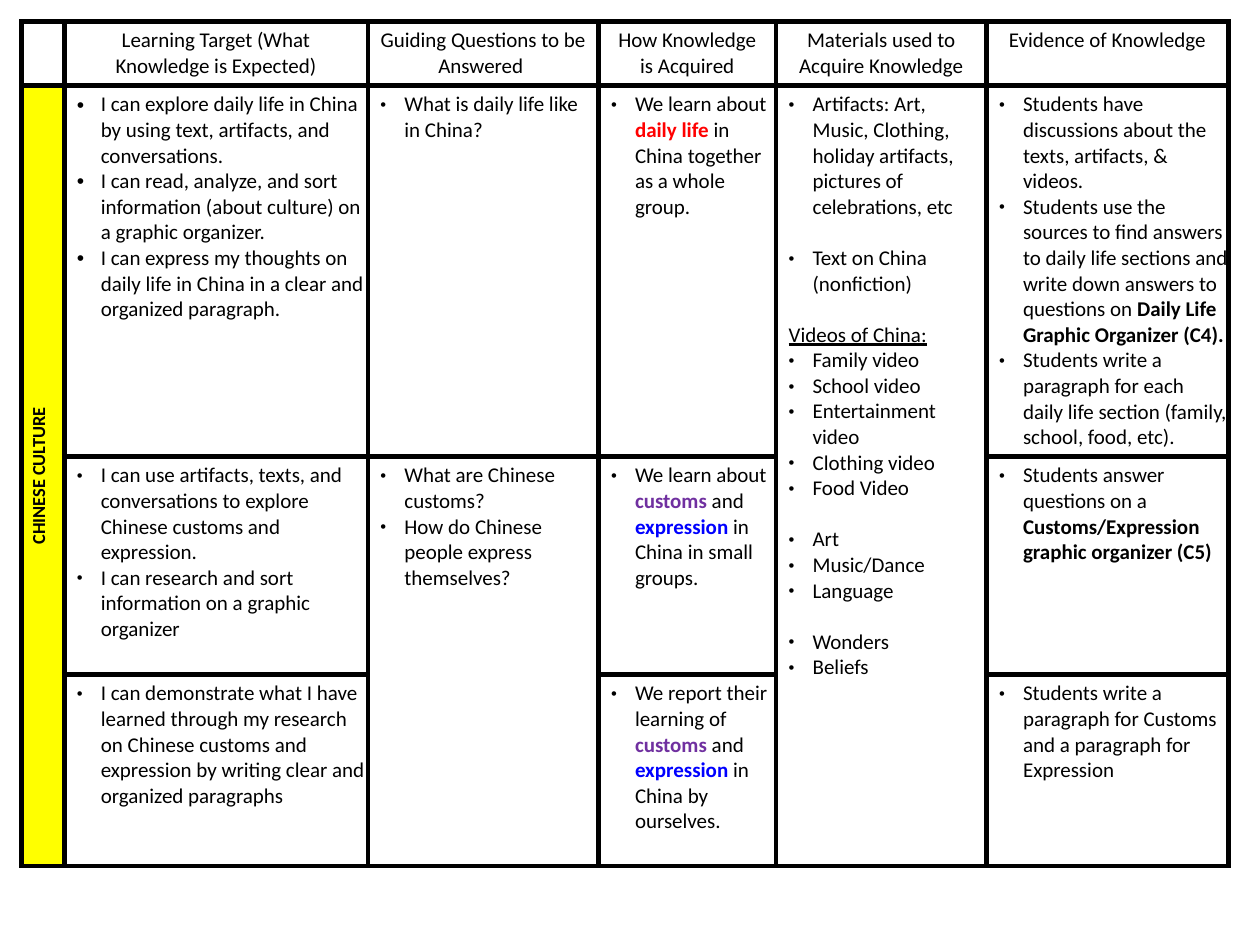
from dataclasses import dataclass
from lxml.etree import SubElement as Sub
from pptx import Presentation
from pptx.dml.color import RGBColor as Rgb
from pptx.enum.text import PP_ALIGN as Align
from pptx.oxml.ns import qn
from pptx.util import Inches, Pt


@dataclass(frozen=True)
class Theme:
    font: str = "Calibri"
    size: float = 12
    side: float = 10.5
    gap: float = 14.6
    rule: float = 3
    dot: int = 79
    ink: str = "000000"
    red: str = "FF0000"
    plum: str = "7030A0"
    blue: str = "0000FF"
    band: str = "FFFF00"


@dataclass(frozen=True)
class Run:
    text: str
    color: str = Theme.ink
    bold: bool = False
    line: bool = False


@dataclass(frozen=True)
class Para:
    runs: tuple[Run, ...]
    gap: bool = False
    dot: int | None = Theme.dot  # bullet size in percent, None for no bullet


@dataclass(frozen=True)
class Block:
    row: int
    col: int
    paras: tuple[Para, ...]
    span: int = 1


THEME = Theme()
COLS = (0.34, 2.41, 1.83, 1.41, 1.67, 1.92)
ROWS = (0.51, 2.94, 1.73, 1.52)
HEADS = (
    "Learning Target (What Knowledge is Expected)",
    "Guiding Questions to be Answered ",
    "How Knowledge is Acquired",
    "Materials used to Acquire Knowledge",
    "Evidence of Knowledge",
)


def item(*parts: str | Run, gap: bool = False, dot: int | None = THEME.dot) -> Para:
    runs = tuple(Run(part) if isinstance(part, str) else part for part in parts)
    return Para(runs, gap, dot)


def items(*texts: str, dot: int = THEME.dot) -> tuple[Para, ...]:
    return tuple(item(text, dot=dot) for text in texts)


def topics(start: str, end: str) -> tuple[Para, ...]:
    return (item(start, Run("customs", THEME.plum, True), " and ",
                 Run("expression ", THEME.blue, True), end),)


BLOCKS = (
    # Learning targets
    Block(1, 1, items(
        "I can explore daily life in China by using text, artifacts, and conversations.",
        "I can read, analyze, and sort information (about culture) on a graphic organizer.",
        "I can express my thoughts on daily life in China in a clear and organized paragraph.",
        dot=100)),
    Block(2, 1, items(
        "I can use artifacts, texts, and conversations to explore Chinese customs and expression.",
        "I can research and sort information on a graphic organizer")),
    Block(3, 1, items(
        "I can demonstrate what I have learned through my research on Chinese customs "
        "and expression by writing clear and organized paragraphs")),
    # Guiding questions
    Block(1, 2, items("What is daily life like in China?")),
    Block(2, 2, items("What are Chinese customs?",
                      "How do Chinese people express themselves?"), span=2),
    # How knowledge is acquired
    Block(1, 3, (item("We learn about ", Run("daily life ", THEME.red, True),
                      "in China together as a whole group."),)),
    Block(2, 3, topics("We learn about ", "in China in small groups.")),
    Block(3, 3, topics("We report their learning of ", "in China by ourselves.")),
    # Materials
    Block(1, 4, (
        item("Artifacts: Art, Music, Clothing, holiday artifacts, "
             "pictures of celebrations, etc"),
        item("Text on China (nonfiction)", gap=True),
        item(Run("Videos of China:", line=True), gap=True, dot=None),
        *items("Family video", "School video", "Entertainment video",
               "Clothing video", "Food Video"),
        item("Art", gap=True),
        *items("Music/Dance", "Language"),
        item("Wonders", gap=True),
        item("Beliefs"),
    ), span=3),
    # Evidence
    Block(1, 5, (
        item("Students have discussions about the texts, artifacts, & videos."),
        item("Students use the sources to find answers to daily life sections and "
             "write down answers to questions on ",
             Run("Daily Life Graphic Organizer (C4).", bold=True)),
        item("Students write a paragraph for each daily life section "
             "(family, school, food, etc)."),
    )),
    Block(2, 5, (item("Students answer questions on a ",
                      Run("Customs/Expression graphic organizer (C5)", bold=True)),)),
    Block(3, 5, items("Students write a paragraph for Customs and a paragraph for Expression")),
)


def add_run(para, run: Run, size: float = THEME.size) -> None:
    part = para.add_run()
    part.text = run.text
    font = part.font
    font.name, font.size = THEME.font, Pt(size)
    font.bold, font.underline = run.bold, run.line
    font.color.rgb = Rgb.from_string(run.color)


def add_dot(para, size: int) -> None:
    props = para._p.get_or_add_pPr()
    props.set("marL", str(Inches(0.19)))
    props.set("indent", str(-Inches(0.19)))
    Sub(props, qn("a:buSzPct"), val=str(size * 1000))
    Sub(props, qn("a:buFont"), typeface="Arial")
    Sub(props, qn("a:buChar"), char="•")


def frame(cell) -> None:
    props = cell._tc.get_or_add_tcPr()
    for side in ("lnL", "lnR", "lnT", "lnB"):
        edge = Sub(props, qn(f"a:{side}"), w=str(Pt(THEME.rule)))
        fill = Sub(edge, qn("a:solidFill"))
        Sub(fill, qn("a:srgbClr"), val=THEME.ink)
    cell.fill.background()


def add_head(cell, run: Run, size: float = THEME.size) -> None:
    para = cell.text_frame.paragraphs[0]
    para.alignment = Align.CENTER
    add_run(para, run, size)


def add_block(grid, block: Block) -> None:
    cell = grid.cell(block.row, block.col)
    if block.span > 1:
        cell.merge(grid.cell(block.row + block.span - 1, block.col))
    cell.margin_right = 0
    box = cell.text_frame
    for num, entry in enumerate(block.paras):
        para = box.add_paragraph() if num else box.paragraphs[0]
        if entry.dot:
            add_dot(para, entry.dot)
        if entry.gap:
            para.space_before = Pt(THEME.gap)
        for run in entry.runs:
            add_run(para, run)


def main() -> None:
    deck = Presentation()
    deck.slide_width, deck.slide_height = Inches(10), Inches(7.5)
    slide = deck.slides.add_slide(deck.slide_layouts[6])

    # Grid
    grid = slide.shapes.add_table(
        len(ROWS), len(COLS), Inches(0.17), Inches(0.17),
        Inches(sum(COLS)), Inches(sum(ROWS))).table
    grid.first_row = grid.horz_banding = False
    for col, width in zip(grid.columns, COLS):
        col.width = Inches(width)
    for row, height in zip(grid.rows, ROWS):
        row.height = Inches(height)
    for cell in grid.iter_cells():
        frame(cell)

    # Column heads
    for col, text in enumerate(HEADS, 1):
        add_head(grid.cell(0, col), Run(text))

    # Unit band
    unit = grid.cell(1, 0)
    unit.merge(grid.cell(3, 0))
    unit._tc.get_or_add_tcPr().set("vert", "vert270")
    unit.fill.solid()
    unit.fill.fore_color.rgb = Rgb.from_string(THEME.band)
    add_head(unit, Run("CHINESE CULTURE", bold=True), THEME.side)

    # Lesson cells
    for block in BLOCKS:
        add_block(grid, block)

    deck.save("out.pptx")


if __name__ == "__main__":
    main()
